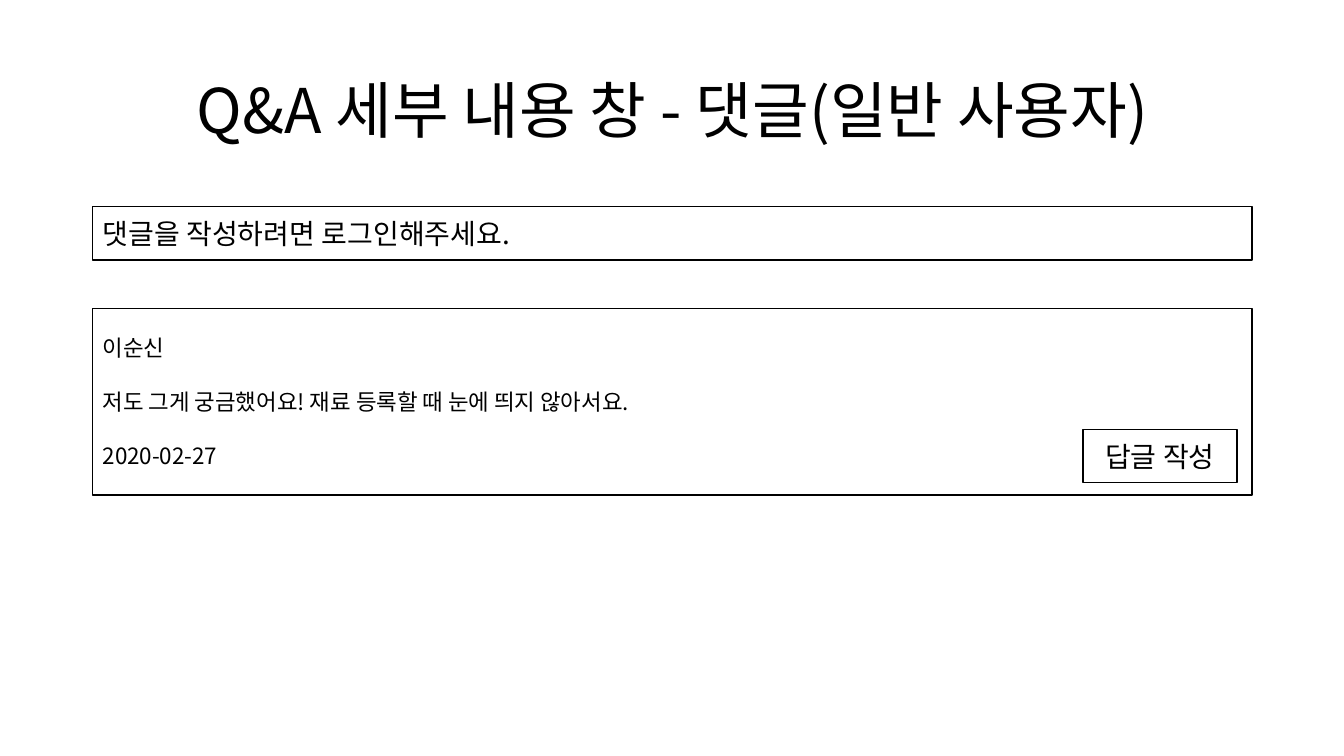
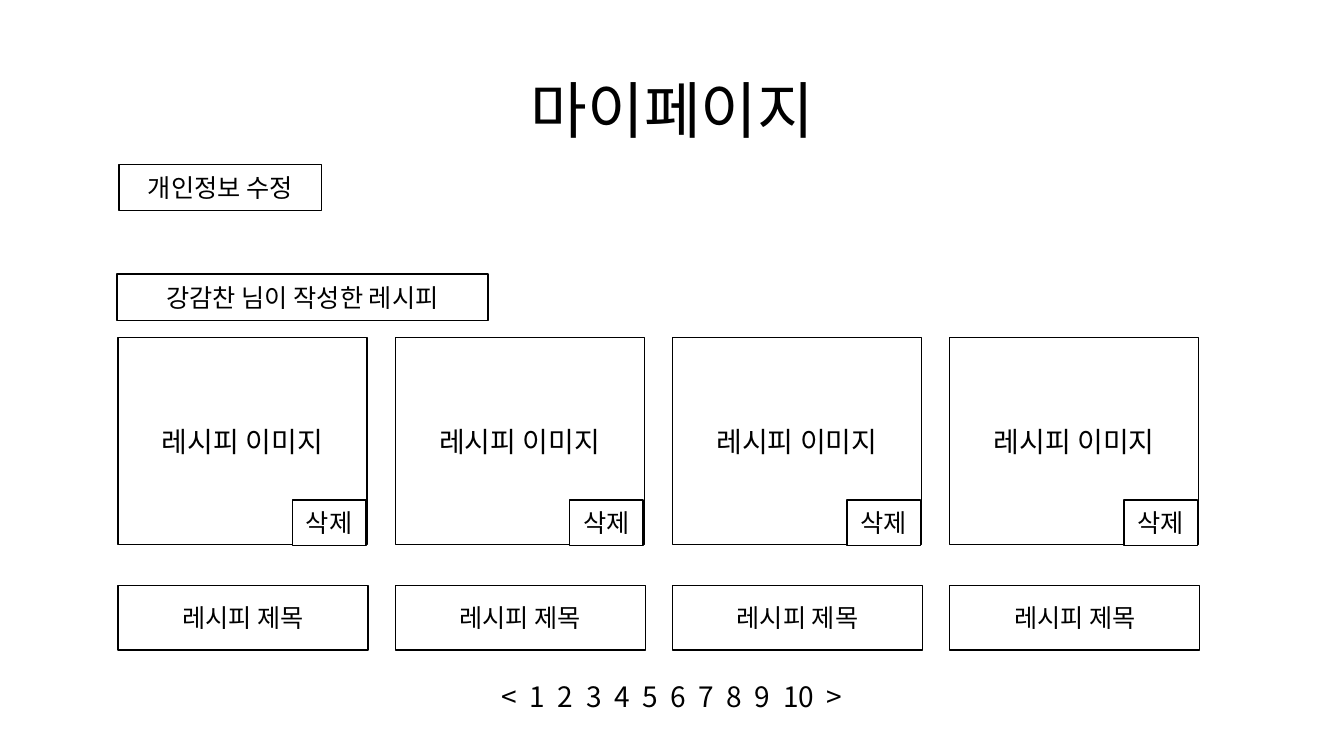
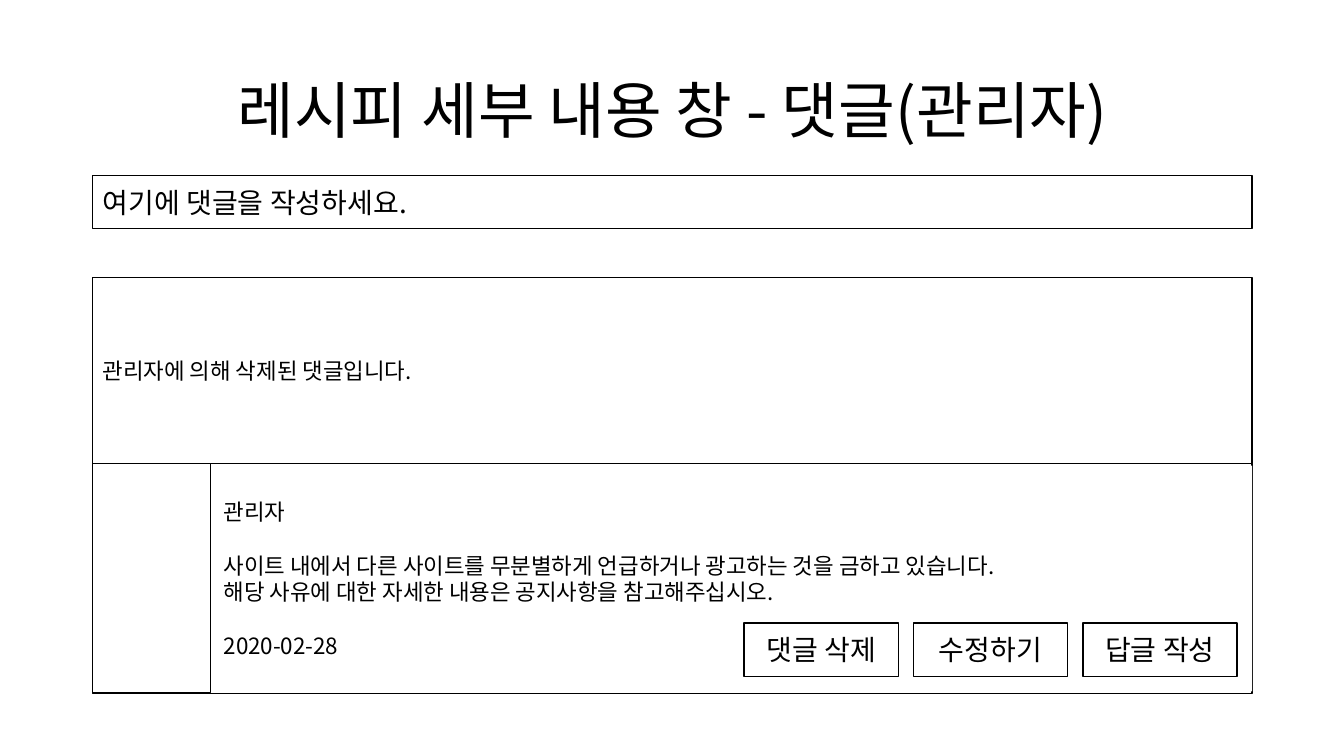
from dataclasses import dataclass

from lxml import etree
from pptx import Presentation
from pptx.dml.color import RGBColor
from pptx.enum.shapes import MSO_SHAPE
from pptx.enum.text import MSO_ANCHOR, PP_ALIGN
from pptx.oxml.ns import qn
from pptx.util import Inches, Pt

RECTANGLE = MSO_SHAPE.RECTANGLE
MIDDLE = MSO_ANCHOR.MIDDLE
LEFT, CENTER = PP_ALIGN.LEFT, PP_ALIGN.CENTER
BLANK_LAYOUT = 6


@dataclass(frozen=True)
class Theme:
    font: str = "Noto Sans CJK KR"
    ink: RGBColor = RGBColor(0, 0, 0)
    paper: RGBColor = RGBColor(255, 255, 255)
    title: int = 44
    label: int = 20
    small_label: int = 18
    comment: int = 16
    border: float = 1
    block_gap: float = 19.3
    page_gap: float = 4.5


class Wireframe:
    margin, content_width = 0.92, 11.5
    bar_height, comment_height = 0.53, 1.85
    button_width, button_pitch, last_button = 1.53, 1.68, 10.74

    def __init__(self, theme):
        self.theme = theme
        self.deck = Presentation()
        self.deck.slide_width = Inches(13.33)
        self.deck.slide_height = Inches(7.5)
        self.slide = None

    def new_slide(self, title):
        self.slide = self.deck.slides.add_slide(self.deck.slide_layouts[BLANK_LAYOUT])
        heading = self.slide.shapes.add_textbox(
            Inches(self.margin), Inches(0.4), Inches(self.content_width), Inches(1.45))
        self.fill_text(heading, [[title]], self.theme.title, CENTER)
        heading.text_frame.paragraphs[0].line_spacing = 0.9

    def add_run(self, paragraph, text, size):
        run = paragraph.add_run()
        run.text = text
        run.font.size = Pt(size)
        run.font.name = self.theme.font
        run.font.color.rgb = self.theme.ink
        east_asian = etree.SubElement(run.font._element, qn("a:ea"))
        east_asian.set("typeface", self.theme.font)
        return run

    def fill_text(self, shape, blocks, size, align):
        """Add blocks of lines, with one line's gap between blocks."""
        frame = shape.text_frame
        frame.word_wrap = True
        frame.vertical_anchor = MIDDLE
        paragraph = None
        for block in blocks:
            for index, line in enumerate(block):
                is_first = paragraph is None
                paragraph = frame.paragraphs[0] if is_first else frame.add_paragraph()
                paragraph.alignment = align
                if index == 0 and not is_first:
                    paragraph.space_before = Pt(self.theme.block_gap)
                self.add_run(paragraph, line, size)

    def box(self, left, top, width, height, blocks=(), size=None, align=CENTER,
            outlined=True):
        shape = self.slide.shapes.add_shape(
            RECTANGLE, Inches(left), Inches(top), Inches(width), Inches(height))
        shape.shadow.inherit = False
        shape.fill.solid()
        shape.fill.fore_color.rgb = self.theme.paper
        if outlined:
            shape.line.color.rgb = self.theme.ink
            shape.line.width = Pt(self.theme.border)
        else:
            shape.line.fill.background()
        self.fill_text(shape, blocks, size or self.theme.label, align)
        return shape

    def small_box(self, left, top, width, height, label):
        self.box(left, top, width, height, [[label]], self.theme.small_label)

    def comment_input(self, top, prompt):
        self.box(self.margin, top, self.content_width, self.bar_height,
                 [[prompt]], align=LEFT)

    def comment(self, top, blocks):
        self.box(self.margin, top, self.content_width, self.comment_height,
                 blocks, self.theme.comment, LEFT)

    def reply(self, top, blocks):
        """Draw a reply with an empty indent cell on its left."""
        self.box(self.margin, top, self.content_width, 2.28)
        self.box(2.12, top + 0.02, 10.3, 2.24, blocks, self.theme.comment, LEFT,
                 outlined=False)
        self.box(self.margin, top, 1.17, 2.27)

    def buttons(self, top, labels):
        """Lay buttons out so that the last one ends at the right edge."""
        for steps, label in enumerate(reversed(labels)):
            self.box(self.last_button - steps * self.button_pitch, top,
                     self.button_width, self.bar_height, [[label]])

    def recipe_card(self, left):
        self.box(left, 3.35, 2.47, 2.05, [["레시피 이미지"]])
        self.small_box(left + 1.73, 4.96, 0.73, 0.45, "삭제")
        self.small_box(left, 5.81, 2.48, 0.64, "레시피 제목")

    def pager(self, marks):
        bar = self.box(3.57, 6.64, 6.19, self.bar_height, outlined=False)
        paragraph = bar.text_frame.paragraphs[0]
        paragraph.alignment = CENTER
        for index, mark in enumerate(marks):
            if index:
                gap = self.add_run(paragraph, " ", self.theme.label)
                gap.font._element.set("spc", str(int(self.theme.page_gap * 100)))
            self.add_run(paragraph, mark, self.theme.label)


def question_comments(page):
    page.new_slide("Q&A 세부 내용 창 - 댓글(일반 사용자)")
    page.comment_input(2.05, "댓글을 작성하려면 로그인해주세요.")
    page.comment(3.06, [
        ["이순신"],
        ["저도 그게 궁금했어요! 재료 등록할 때 눈에 띄지 않아서요."],
        ["2020-02-27"],
    ])
    page.buttons(4.26, ["답글 작성"])


def my_page(page):
    page.new_slide("마이페이지")
    page.small_box(1.18, 1.63, 2.01, 0.46, "개인정보 수정")
    page.small_box(1.16, 2.72, 3.68, 0.46, "강감찬 님이 작성한 레시피")
    for column in range(4):
        page.recipe_card(1.17 + column * 2.75)
    page.pager(["<", *map(str, range(1, 11)), ">"])


def recipe_comments(page):
    page.new_slide("레시피 세부 내용 창 - 댓글(관리자)")
    page.comment_input(1.74, "여기에 댓글을 작성하세요.")
    page.comment(2.75, [["관리자에 의해 삭제된 댓글입니다."]])
    page.reply(4.6, [
        ["관리자"],
        ["사이트 내에서 다른 사이트를 무분별하게 언급하거나 광고하는 것을 금하고 있습니다.",
         "해당 사유에 대한 자세한 내용은 공지사항을 참고해주십시오."],
        ["2020-02-28"],
    ])
    page.buttons(6.18, ["댓글 삭제", "수정하기", "답글 작성"])


def main():
    page = Wireframe(Theme())
    question_comments(page)
    my_page(page)
    recipe_comments(page)
    page.deck.save("out.pptx")


if __name__ == "__main__":
    main()
